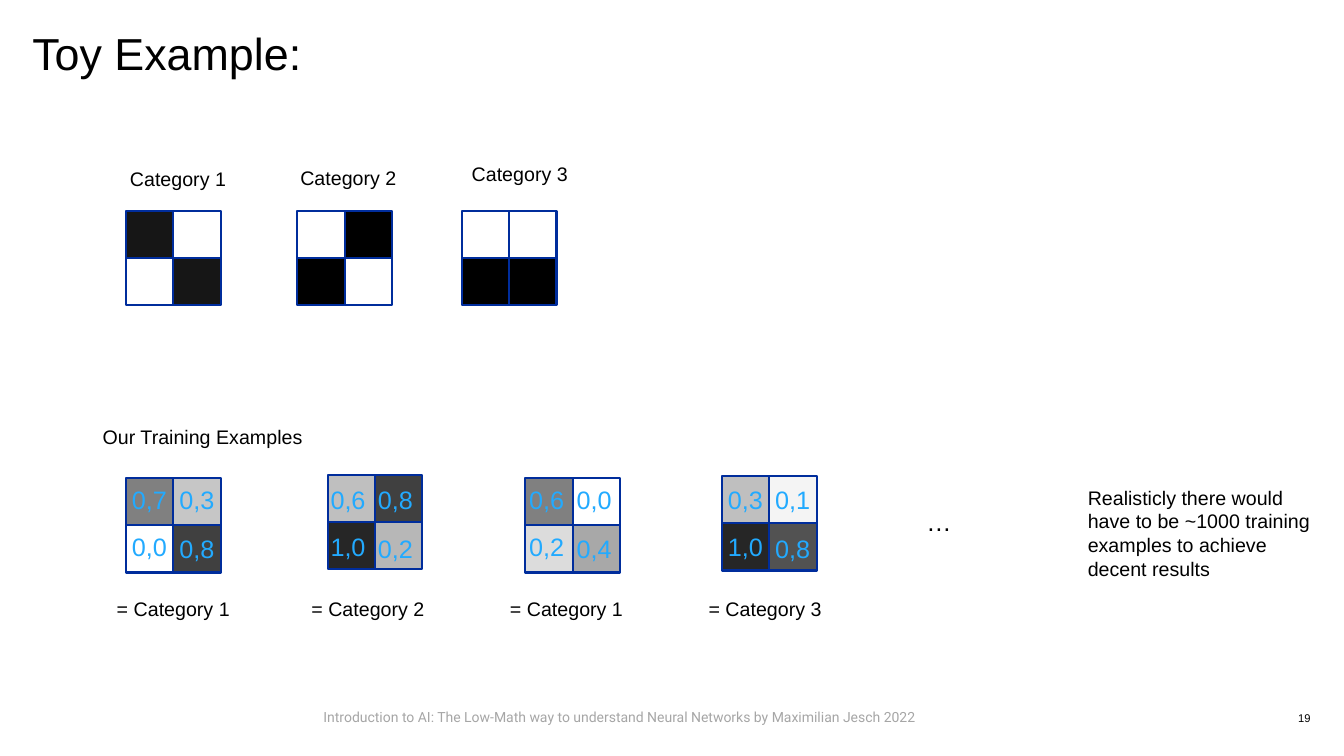
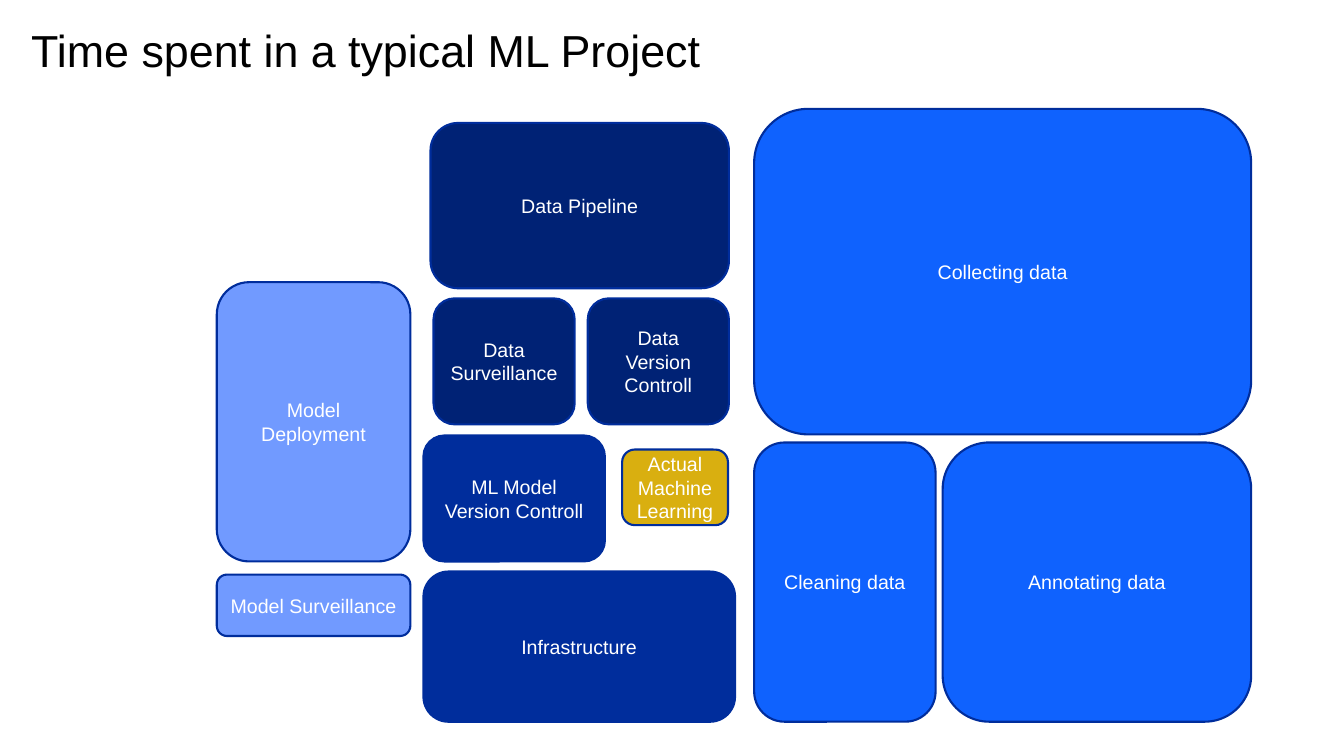
"""Build two slides: a toy classification example and the time split of an ML project."""
from pptx import Presentation
from pptx.dml.color import RGBColor
from pptx.enum.shapes import MSO_SHAPE
from pptx.enum.text import MSO_ANCHOR, MSO_AUTO_SIZE, PP_ALIGN
from pptx.util import Inches, Pt

RECTANGLE, ROUNDED = MSO_SHAPE.RECTANGLE, MSO_SHAPE.ROUNDED_RECTANGLE
TOP, MIDDLE = MSO_ANCHOR.TOP, MSO_ANCHOR.MIDDLE
LEFT, CENTER, RIGHT = PP_ALIGN.LEFT, PP_ALIGN.CENTER, PP_ALIGN.RIGHT
NO_AUTOFIT = MSO_AUTO_SIZE.NONE
TITLE_ONLY = 5

BLACK, WHITE, GREY = "000000", "FFFFFF", "A6A6A6"
OUTLINE, VALUE_BLUE = "002D9C", "22AAFF"
BRIGHT, NAVY, ROYAL, PALE, GOLD = "0F62FE", "002275", "002D9C", "719AFF", "D9AF10"
INK = "161616"
CELL = 0.47

TOY_TITLE = ("Toy Example:", (0.32, 0.32, 6.49, 1.17))
CATEGORY_TOP = 2.09
CATEGORIES = [
    ("Category 1", (1.19, 1.56), 1.25, [INK, WHITE, WHITE, INK]),
    ("Category 2", (2.88, 1.55), 2.95, [WHITE, BLACK, BLACK, WHITE]),
    ("Category 3", (4.58, 1.51), 4.58, [WHITE, WHITE, BLACK, BLACK]),
]
EXAMPLES = [
    ("= Category 1", 1.06, (1.25, 4.74),
     [("808080", "0,7"), ("C6C6C6", "0,3"), (WHITE, "0,0"), ("404040", "0,8")]),
    ("= Category 2", 2.99, (3.25, 4.71),
     [("BFBFBF", "0,6"), ("404040", "0,8"), ("262626", "1,0"), ("B7B7B7", "0,2")]),
    ("= Category 1", 4.96, (5.21, 4.74),
     [("808080", "0,6"), (WHITE, "0,0"), ("DCDCDC", "0,2"), ("A8A8A8", "0,4")]),
    ("= Category 3", 6.93, (7.16, 4.72),
     [("BFBFBF", "0,3"), ("F4F4F4", "0,1"), ("262626", "1,0"), ("525252", "0,8")]),
]
VALUE_LEFT, VALUE_STEP = 1.21, 1.97
VALUE_OFFSETS = [(0, 4.71), (CELL, 4.71), (0, 5.17), (CELL, 5.19)]
NOTE = "Realisticly there would have to be ~1000 training examples to achieve decent results"
FOOTER = ("Introduction to AI: The Low-Math way to understand "
          "Neural Networks by Maximilian Jesch 2022")
PAGE_NUMBER = "19"

TIME_TITLE = ("Time spent in a typical ML Project", (0.31, 0.29, 11.4, 1.48))
TASKS = [
    ("Collecting data", BRIGHT, (7.48, 1.08, 4.93, 3.23)),
    ("Cleaning data", BRIGHT, (7.48, 4.39, 1.8, 2.77)),
    ("Annotating data", BRIGHT, (9.35, 4.39, 3.06, 2.77)),
    ("Data Pipeline", NAVY, (4.27, 1.22, 2.96, 1.64)),
    ("Data Surveillance", NAVY, (4.3, 2.96, 1.4, 1.25)),
    ("Data Version Controll", NAVY, (5.83, 2.96, 1.4, 1.25)),
    ("ML Model Version Controll", ROYAL, (4.2, 4.32, 1.8, 1.25)),
    ("Infrastructure", ROYAL, (4.2, 5.67, 3.09, 1.49)),
    ("Model Deployment", PALE, (2.15, 2.8, 1.92, 2.77)),
    ("Model Surveillance", PALE, (2.15, 5.7, 1.92, 0.61)),
    ("Actual Machine Learning", GOLD, (6.17, 4.46, 1.05, 0.75)),
]


def rgb(value):
    return RGBColor.from_string(value)


def inches(area):
    return [Inches(length) for length in area]


def write(shape, text, size, color, align=LEFT, anchor=TOP, inset=(0.1, 0.1), font="Arial"):
    frame = shape.text_frame
    frame.word_wrap = True
    frame.auto_size = NO_AUTOFIT
    frame.vertical_anchor = anchor
    frame.margin_left = frame.margin_right = Inches(inset[0])
    frame.margin_top = frame.margin_bottom = Inches(inset[1])
    para = frame.paragraphs[0]
    para.alignment = align
    span = para.add_run()
    span.text = text
    span.font.name = font
    span.font.size = Pt(size)
    span.font.color.rgb = rgb(color)
    return para


def add_text(shapes, area, text, size=14, color=BLACK, **style):
    write(shapes.add_textbox(*inches(area)), text, size, color, **style)


def add_block(shapes, kind, area, fill):
    block = shapes.add_shape(kind, *inches(area))
    block.shadow.inherit = False
    block.fill.solid()
    block.fill.fore_color.rgb = rgb(fill)
    block.line.color.rgb = rgb(OUTLINE)
    block.line.width = Pt(1.5)
    return block


def add_pixels(shapes, left, top, fills):
    for index, fill in enumerate(fills):
        row, column = divmod(index, 2)
        area = (left + column * CELL, top + row * CELL, CELL, CELL)
        add_block(shapes, RECTANGLE, area, fill)


def add_page(deck, title, area):
    page = deck.slides.add_slide(deck.slide_layouts[TITLE_ONLY])
    heading = page.shapes.title
    heading.left, heading.top, heading.width, heading.height = inches(area)
    write(heading, title, 32, BLACK, inset=(0, 0)).line_spacing = 0.9
    return page


def build_toy_example(deck):
    shapes = add_page(deck, *TOY_TITLE).shapes
    for label, (left, top), grid_left, fills in CATEGORIES:
        group = shapes.add_group_shape().shapes
        add_pixels(group, grid_left, CATEGORY_TOP, fills)
        add_text(group, (left, top, 1.61, 0.44), label)

    add_text(shapes, (0.92, 4.12, 2.4, 0.44), "Our Training Examples")
    for number, (label, label_left, (left, top), pixels) in enumerate(EXAMPLES):
        group = shapes.add_group_shape().shapes
        add_pixels(group, left, top, [fill for fill, value in pixels])
        value_left = VALUE_LEFT + number * VALUE_STEP
        for (fill, value), (shift, value_top) in zip(pixels, VALUE_OFFSETS):
            add_text(group, (value_left + shift, value_top, 0.7, 0.5), value, 18, VALUE_BLUE)
        add_text(shapes, (label_left, 5.82, 1.6, 0.44), label)

    add_text(shapes, (9.09, 4.92, 1.5, 0.5), "…", 18)
    add_text(shapes, (10.69, 4.72, 2.58, 1.14), NOTE)
    add_text(shapes, (3.11, 6.98, 6.83, 0.27), FOOTER, 10, GREY, inset=(0.1, 0.05), font="Roboto")
    add_text(shapes, (10.33, 7, 2.67, 0.24), PAGE_NUMBER, 8,
             align=RIGHT, anchor=MIDDLE, inset=(0, 0))


def build_time_spent(deck):
    shapes = add_page(deck, *TIME_TITLE).shapes
    for label, fill, area in TASKS:
        block = add_block(shapes, ROUNDED, area, fill)
        write(block, label, 14, WHITE, align=CENTER, anchor=MIDDLE)


def main():
    deck = Presentation()
    deck.slide_width, deck.slide_height = inches((13.33, 7.5))
    build_toy_example(deck)
    build_time_spent(deck)
    deck.save("out.pptx")


if __name__ == "__main__":
    main()
